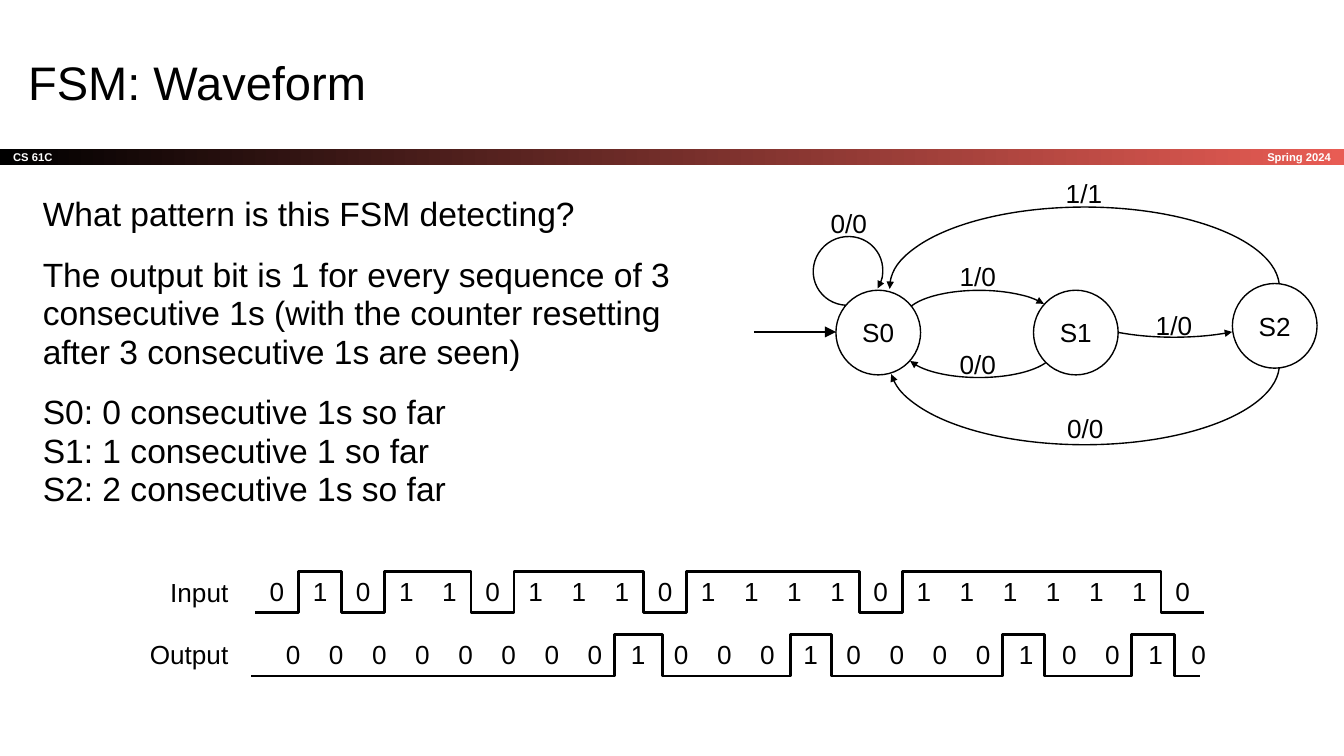
from pptx import Presentation
from pptx.dml.color import RGBColor
from pptx.enum.shapes import MSO_CONNECTOR as Link, MSO_SHAPE as Kind
from pptx.enum.text import MSO_ANCHOR as Anchor, PP_ALIGN as Align
from pptx.oxml.ns import qn
from pptx.util import Inches, Pt
from lxml.etree import SubElement

BLACK = RGBColor(0, 0, 0)
WHITE = RGBColor(255, 255, 255)
RED = RGBColor(0xE8, 0x5C, 0x54)
PLAIN = "{2D5ABB26-0587-4C30-8999-92F81FD0307C}"

INPUT = "0101101110111101111110"
OUTPUT = "0000000010001000010010"
STEP = 7.06 / len(INPUT)
ROW = 0.31

STATES = [("S0", 6.22, 2.16), ("S1", 7.69, 2.16), ("S2", 9.17, 2.11)]
LABELS = [
    ("0/0", 6.14, 1.54), ("1/1", 7.89, 1.32), ("1/0", 8.56, 2.3),
    ("0/0", 7.1, 2.59), ("1/0", 7.1, 1.94), ("0/0", 7.9, 3.07),
]
ARCS = [
    ((6.62, 2.11, 2.9, 1.2), (1.18, 177.01), "tailEnd", None),
    ((6.62, 1.54, 2.9, 1.2), (1.18, 180.37), "tailEnd", 180),
    ((6.73, 2.16, 1.11, 0.4), (11.68, 170.83), "headEnd", 180),
    ((6.73, 2.41, 1.11, 0.4), (9.92, 171.5), "tailEnd", None),
    ((8.01, 2.11, 1.45, 0.4), (20.36, 158.19), "headEnd", None),
    ((6.05, 1.76, 0.52, 0.51), (301.39, 238.57), "headEnd", 152),
]
NOTES = [
    "What pattern is this FSM detecting?",
    "The output bit is 1 for every sequence of 3 consecutive 1s "
    "(with the counter resetting after 3 consecutive 1s are seen)",
    "S0: 0 consecutive 1s so far\nS1: 1 consecutive 1 so far\n"
    "S2: 2 consecutive 1s so far",
]


def write(frame, *texts, size=14, color=BLACK, bold=False, align=Align.LEFT,
          anchor=Anchor.TOP, inset=0, wrap=True, line=None, gap=0):
    frame.word_wrap = wrap
    frame.vertical_anchor = anchor
    frame.margin_left = frame.margin_right = Inches(inset)
    frame.margin_top = frame.margin_bottom = Inches(inset)
    for i, text in enumerate(texts):
        para = frame.add_paragraph() if i else frame.paragraphs[0]
        para.text = text
        para.alignment = align
        para.line_spacing = line
        para.space_before = Pt(gap if i else 0)
        for run in para.runs:
            run.font.name = "Arial"
            run.font.size = Pt(size)
            run.font.bold = bold
            run.font.color.rgb = color


def label(slide, box, *texts, **style):
    shape = slide.shapes.add_textbox(*map(Inches, box))
    write(shape.text_frame, *texts, **style)


def ink(shape, width=0.75):
    shape.line.color.rgb = BLACK
    shape.line.width = Pt(width)


def hollow(shape, width=0.75):
    shape.shadow.inherit = False
    shape.fill.background()
    ink(shape, width)


def point(shape, end, size="med"):
    line = shape.element.spPr.find(qn("a:ln"))
    SubElement(line, qn("a:" + end), type="triangle", w=size, len=size)


def banner(slide):
    bar = slide.shapes.add_shape(Kind.RECTANGLE, 0, Inches(1.11), Inches(10), Inches(0.12))
    bar.shadow.inherit = False
    bar.line.fill.background()
    bar.fill.gradient()
    bar.fill.gradient_angle = 0
    for stop, color in zip(bar.fill.gradient_stops, (BLACK, RED)):
        stop.color.rgb = color
    style = dict(size=6, color=WHITE, bold=True, anchor=Anchor.MIDDLE, inset=0.1)
    write(bar.text_frame, "CS 61C", **style)
    label(slide, (8.34, 1.11, 1.66, 0.12), "Spring 2024", align=Align.RIGHT, **style)


def state(slide, name, left, top):
    shape = slide.shapes.add_shape(Kind.OVAL, *map(Inches, (left, top, 0.63, 0.63)))
    hollow(shape)
    write(shape.text_frame, name, align=Align.CENTER, anchor=Anchor.MIDDLE, wrap=False)


def arc(slide, box, angles, end, turn):
    shape = slide.shapes.add_shape(Kind.ARC, *map(Inches, box))
    hollow(shape)
    for i, angle in enumerate(angles):
        shape.adjustments[i] = angle * 0.6
    if turn:
        shape.rotation = turn
        shape.element.spPr.find(qn("a:xfrm")).set("flipH", "1")
    point(shape, end, "sm")


def arrow(slide, start, stop):
    line = slide.shapes.add_connector(Link.STRAIGHT, *map(Inches, start + stop))
    ink(line)
    point(line, "tailEnd")
    SubElement(line.element.spPr, qn("a:effectLst"))


def bits(slide, text, left, top):
    box = map(Inches, (left, top, STEP * len(text), ROW))
    frame = slide.shapes.add_table(1, len(text), *box)
    table = frame.table
    table.first_row = table.horz_banding = False
    frame.element.find(".//" + qn("a:tableStyleId")).text = PLAIN
    for col, bit in enumerate(text):
        table.columns[col].width = Inches(STEP)
        cell = table.cell(0, col)
        cell.fill.background()
        cell.margin_left = cell.margin_right = 0
        cell.margin_top = cell.margin_bottom = 0
        cell.vertical_anchor = Anchor.MIDDLE
        write(cell.text_frame, bit, align=Align.CENTER, anchor=None)


def wave(slide, left, top, edges, right):
    high, low = top, top + ROW
    dots, level = [], low
    for edge in edges:
        dots.append((edge, level))
        level = high if level == low else low
        dots.append((edge, level))
    dots.append((right, level))
    path = slide.shapes.build_freeform(Inches(left), Inches(low))
    path.add_line_segments([(Inches(x), Inches(y)) for x, y in dots], close=False)
    hollow(path.convert_to_shape(), 1.5)


def main():
    deck = Presentation()
    deck.slide_width = Inches(10)
    deck.slide_height = Inches(10 * 9 / 16)
    slide = deck.slides.add_slide(deck.slide_layouts[5])
    title = slide.shapes.title
    title.left, title.top = Inches(0.11), Inches(0.3)
    title.width, title.height = Inches(9.32), Inches(0.63)
    write(title.text_frame, "FSM: Waveform", size=25.2, inset=0.1)
    banner(slide)

    for item in STATES:
        state(slide, *item)
    for item in ARCS:
        arc(slide, *item)
    for text, left, top in LABELS:
        label(slide, (left, top, 0.35, 0.24), text, align=Align.CENTER)
    arrow(slide, (5.61, 2.47), (6.22, 2.47))
    label(slide, (0.22, 1.36, 5.13, 2.69), *NOTES, size=18, inset=0.1, line=0.95, gap=12)

    for text, top in (("Input", 4.29), ("Output", 4.75)):
        label(slide, (0.87, top, 0.83, 0.24), text, align=Align.RIGHT)
    bits(slide, INPUT, 1.9, 4.25)
    edges = [1.9 + i * STEP for i in range(1, len(INPUT)) if INPUT[i] != INPUT[i - 1]]
    wave(slide, 1.9, 4.25, edges, 8.96)
    bits(slide, OUTPUT, 2.02, 4.72)
    wave(slide, 1.87, 4.72, [4.57, 4.93, 5.88, 6.19, 7.46, 7.77, 8.42, 8.74], 8.93)
    deck.save("out.pptx")


if __name__ == "__main__":
    main()
